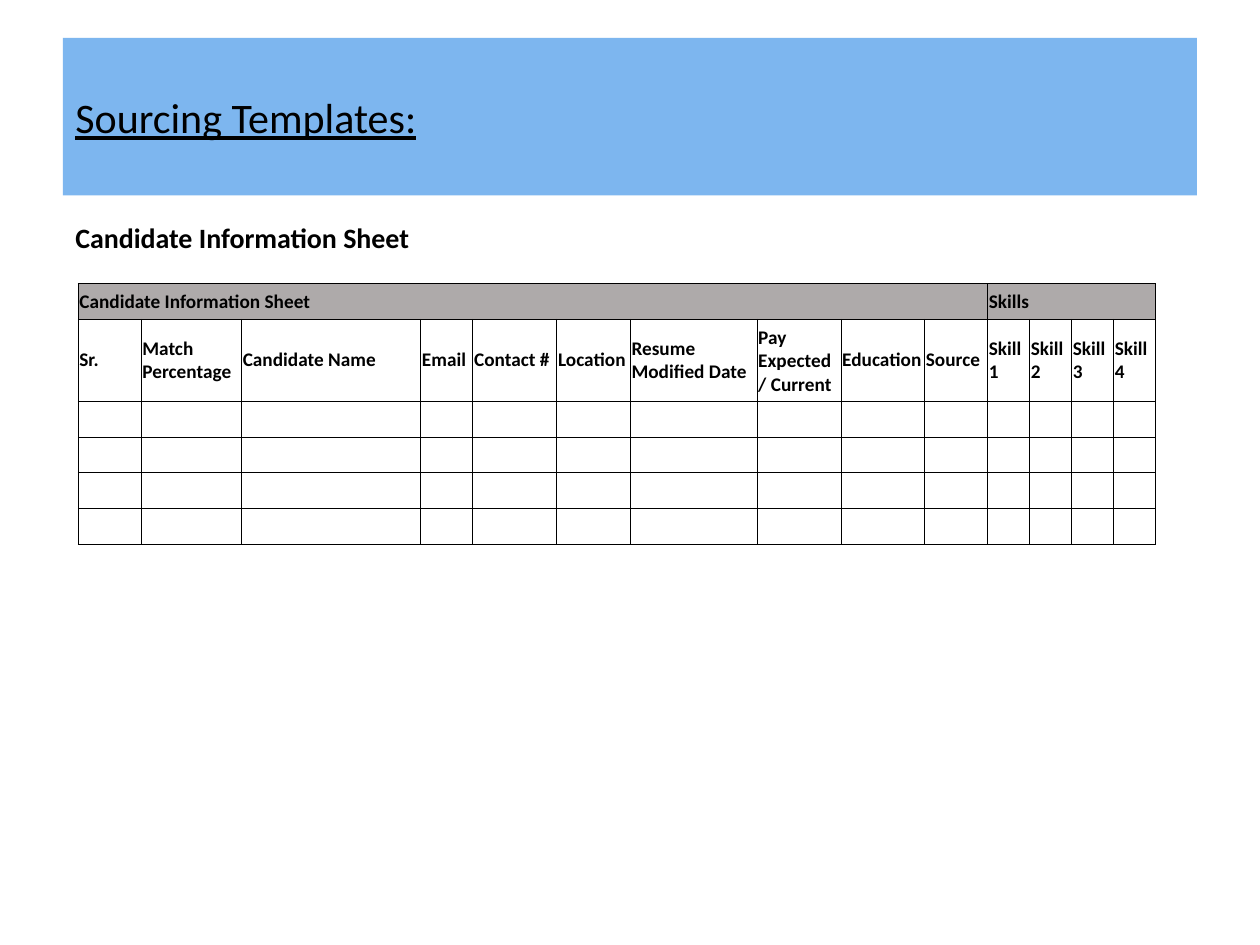
"""Build the sourcing templates slide with an empty candidate information sheet."""
from lxml.etree import SubElement
from pptx import Presentation
from pptx.dml.color import RGBColor as Color
from pptx.enum.shapes import MSO_SHAPE as Shape
from pptx.enum.text import MSO_ANCHOR as Anchor, PP_ALIGN as Align
from pptx.oxml.ns import qn
from pptx.util import Pt

COLORS = {"banner": "7DB6EF", "header": "AEAAAA", "ink": "000000"}
TITLE = "Sourcing Templates:"
SUBTITLE = "Candidate Information Sheet"
GROUPS = [("Candidate Information Sheet", 10, Anchor.MIDDLE), ("Skills", 4, Anchor.BOTTOM)]
COLUMNS = [
    ("Sr.", 36), ("Match Percentage", 57.4), ("Candidate Name", 102.4), ("Email", 29.8),
    ("Contact #", 48), ("Location", 42), ("Resume Modified Date", 72.4),
    ("Pay Expected / Current", 48), ("Education", 47.8), ("Source", 36),
    ("Skill 1", 24), ("Skill 2", 24), ("Skill 3", 24), ("Skill 4", 24),
]
ROW_HEIGHTS = [15.84, 40.32] + [15.84] * 4
BANNER_BOX = (36, 21.6, 648, 90)
SUBTITLE_BOX = (36, 126, 648, 414)
TABLE_ORIGIN = (44.64, 162)
BORDER_WIDTH = 0.45
FORMATS = {
    "title": {"size": Pt(24), "underline": True},
    "subtitle": {"size": Pt(16), "bold": True},
    "cell": {"size": Pt(11), "bold": True},
}
BOX_MARGINS = {"margin_left": 7.2, "margin_right": 7.2, "margin_top": 3.6, "margin_bottom": 3.6}
CELL_MARGINS = {**BOX_MARGINS, "margin_left": 0.72, "margin_right": 0.72}


def color(name):
    return Color.from_string(COLORS[name])


def set_margins(target, margins):
    for name, value in margins.items():
        setattr(target, name, Pt(value))


def write(frame, text, style):
    paragraph = frame.paragraphs[0]
    paragraph.alignment = Align.LEFT
    run = paragraph.add_run()
    run.text = text
    run.font.name = "Calibri"
    run.font.color.rgb = color("ink")
    for name, value in FORMATS[style].items():
        setattr(run.font, name, value)
    return paragraph


def fill_box(shape, text, style, anchor):
    frame = shape.text_frame
    frame.word_wrap = True
    frame.vertical_anchor = anchor
    set_margins(frame, BOX_MARGINS)
    return write(frame, text, style)


def add_borders(cell):
    properties = cell._tc.get_or_add_tcPr()
    for position, side in enumerate(("lnL", "lnR", "lnT", "lnB")):
        line = properties.makeelement(qn(f"a:{side}"), {"w": str(int(Pt(BORDER_WIDTH)))})
        fill = SubElement(line, qn("a:solidFill"))
        SubElement(fill, qn("a:srgbClr"), val=COLORS["ink"])
        properties.insert(position, line)


def style_cell(cell, is_header):
    set_margins(cell, CELL_MARGINS)
    cell.vertical_anchor = Anchor.MIDDLE
    if is_header:
        cell.fill.solid()
        cell.fill.fore_color.rgb = color("header")
    else:
        cell.fill.background()
    add_borders(cell)


def add_sheet(slide):
    widths = [width for _, width in COLUMNS]
    left, top = TABLE_ORIGIN
    box = [Pt(value) for value in (left, top, sum(widths), sum(ROW_HEIGHTS))]
    table = slide.shapes.add_table(len(ROW_HEIGHTS), len(COLUMNS), *box).table
    table.first_row = table.horz_banding = False
    for column, width in zip(table.columns, widths):
        column.width = Pt(width)
    for index, (row, height) in enumerate(zip(table.rows, ROW_HEIGHTS)):
        row.height = Pt(height)
        for cell in row.cells:
            style_cell(cell, index == 0)
            if index > 1:
                paragraph = cell.text_frame.paragraphs[0]
                SubElement(paragraph._p, qn("a:endParaRPr"), sz="1100")
    start = 0
    for text, span, anchor in GROUPS:
        cell = table.cell(0, start)
        cell.merge(table.cell(0, start + span - 1))
        cell.vertical_anchor = anchor
        write(cell.text_frame, text, "cell")
        start += span
    for index, (text, _) in enumerate(COLUMNS):
        write(table.cell(1, index).text_frame, text, "cell")


def main():
    presentation = Presentation()
    presentation.slide_width, presentation.slide_height = Pt(720), Pt(540)
    slide = presentation.slides.add_slide(presentation.slide_layouts[6])
    banner = slide.shapes.add_shape(Shape.RECTANGLE, *map(Pt, BANNER_BOX))
    banner.shadow.inherit = False
    banner.fill.solid()
    banner.fill.fore_color.rgb = color("banner")
    banner.line.fill.background()
    fill_box(banner, TITLE, "title", Anchor.MIDDLE)
    subtitle = slide.shapes.add_textbox(*map(Pt, SUBTITLE_BOX))
    fill_box(subtitle, SUBTITLE, "subtitle", Anchor.TOP).line_spacing = 0.8
    add_sheet(slide)
    presentation.save("out.pptx")


if __name__ == "__main__":
    main()
